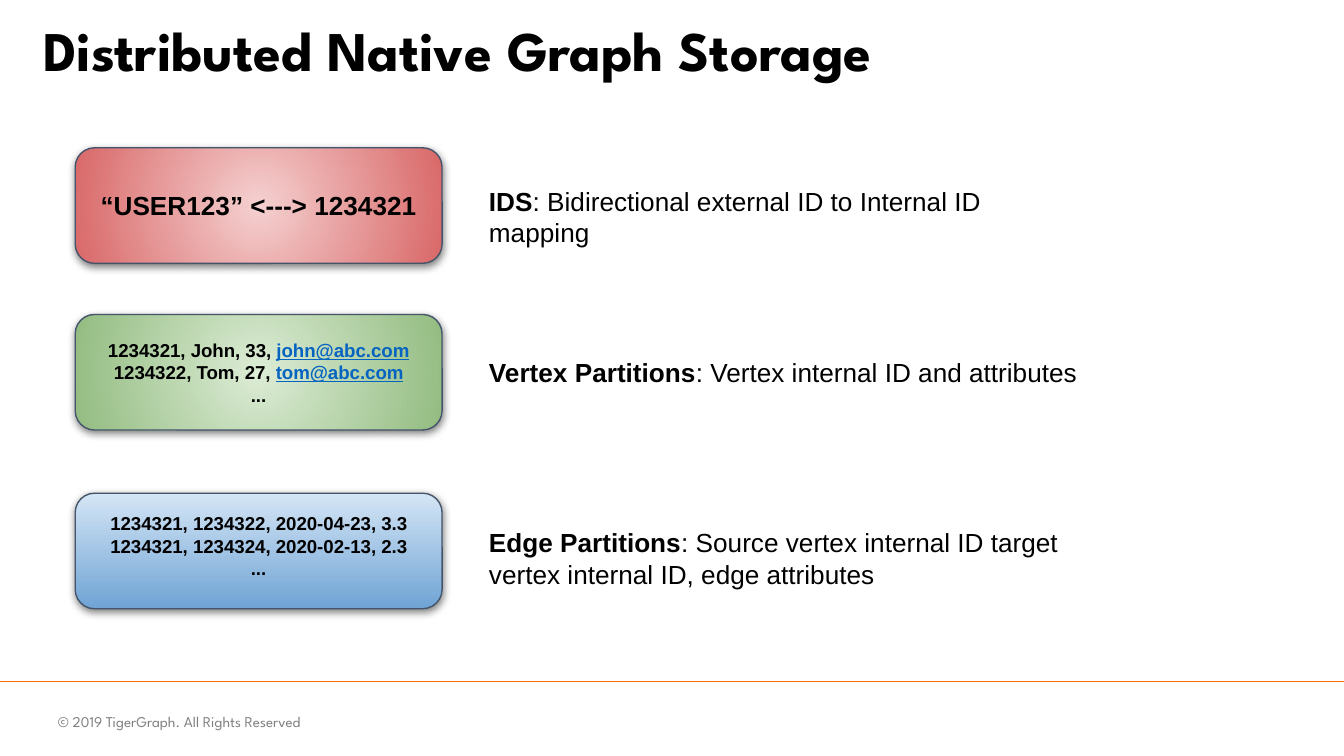
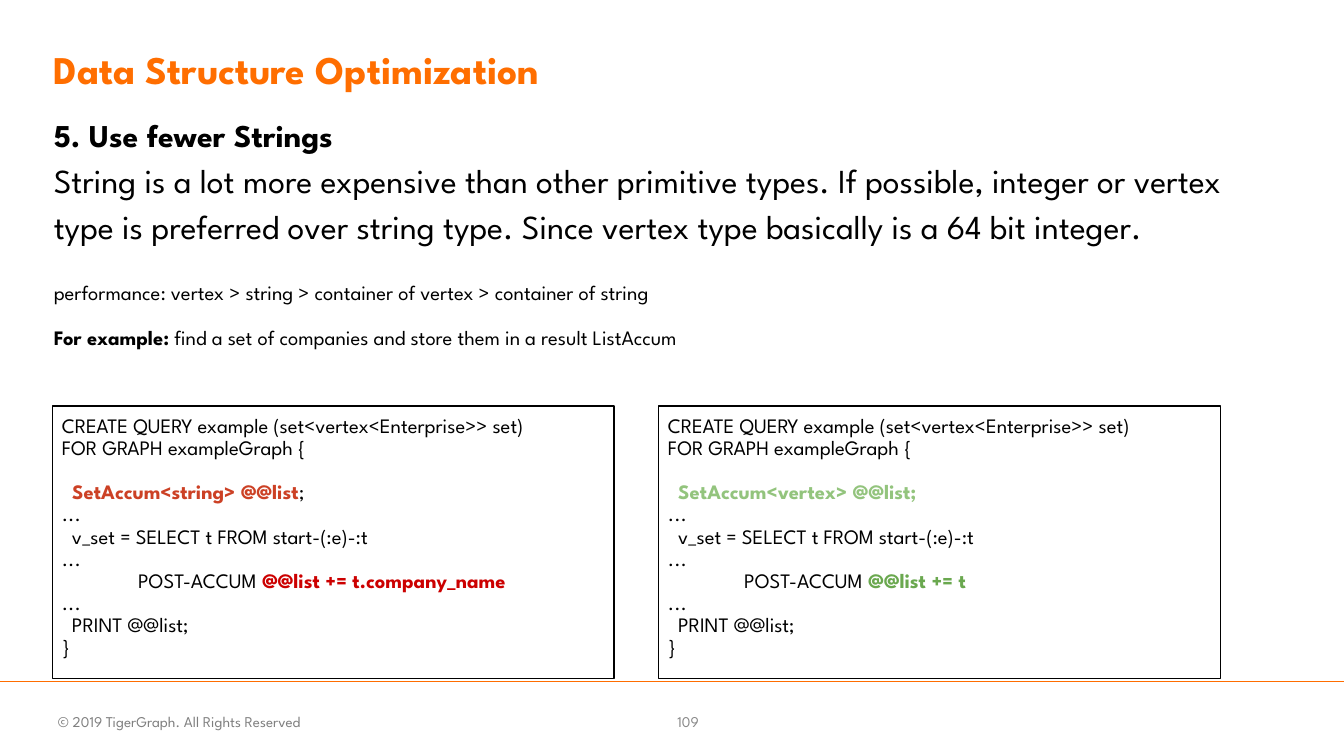
from typing import Any, NamedTuple, Optional

from lxml.etree import SubElement
from pptx import Presentation
from pptx.dml.color import RGBColor
from pptx.enum.shapes import MSO_CONNECTOR, MSO_SHAPE
from pptx.enum.text import MSO_ANCHOR, MSO_AUTO_SIZE, PP_ALIGN
from pptx.oxml.ns import qn
from pptx.util import Inches, Pt

COLORS = {
    "text": "000000",
    "title": "FF6E00",
    "rule": "FF6D00",
    "copyright": "7F7F7F",
    "page": "888888",
    "outline": "44546A",
    "address": "0563C1",
    "slow type": "CC4125",
    "slow step": "CC0000",
    "fast type": "93C47D",
    "fast step": "6AA84F",
}
SLIDE_WIDTH = Inches(10)
SLIDE_HEIGHT = SLIDE_WIDTH * 9 // 16
BRAND_FONT = "League Spartan"
PLAIN_FONT = "Arial"
FOOTER_INSETS = (0.07, 0.04)
BRAND_INSETS = (0.07, 0.07)
PLAIN_INSETS = (0.1, 0.1)


class Box(NamedTuple):
    left: float
    top: float
    width: float
    height: float

    def lengths(self) -> list:
        return [Inches(side) for side in self]


class Run(NamedTuple):
    text: str
    bold: bool = False
    color: str = "text"
    underline: bool = False


class Line(NamedTuple):
    runs: list[Run]
    size: float
    spacing: float = 1.0
    before: float = 0


class Store(NamedTuple):
    top: float
    gradient: tuple[str, str]
    radial: bool
    anchor: MSO_ANCHOR
    records: list[Line]
    note_top: float
    note_height: float
    name: str
    meaning: str


def rgb(name: str) -> RGBColor:
    return RGBColor.from_string(COLORS[name])


def apply(target: Any, values: dict[str, Any]) -> None:
    for name, value in values.items():
        setattr(target, name, value)


def write(frame: Any, lines: list[Line], font: str, insets: tuple[float, float],
          anchor: MSO_ANCHOR = MSO_ANCHOR.TOP, align: PP_ALIGN = PP_ALIGN.LEFT) -> None:
    across, down = (Inches(inset) for inset in insets)
    apply(frame, {
        "word_wrap": True, "auto_size": MSO_AUTO_SIZE.NONE, "vertical_anchor": anchor,
        "margin_left": across, "margin_right": across,
        "margin_top": down, "margin_bottom": down,
    })
    for index, line in enumerate(lines):
        paragraph = frame.add_paragraph() if index else frame.paragraphs[0]
        apply(paragraph, {
            "alignment": align, "line_spacing": line.spacing,
            "space_before": Pt(line.before), "space_after": Pt(0),
        })
        for part in line.runs:
            run = paragraph.add_run()
            run.text = part.text
            apply(run.font, {"name": font, "size": Pt(line.size),
                             "bold": part.bold, "underline": part.underline})
            run.font.color.rgb = rgb(part.color)


def place(placeholder: Any, box: Box) -> None:
    apply(placeholder, dict(zip(("left", "top", "width", "height"), box.lengths())))


def add_text(slide: Any, box: Box, lines: list[Line], font: str,
             insets: tuple[float, float], **layout: Any) -> None:
    write(slide.shapes.add_textbox(*box.lengths()).text_frame, lines, font, insets, **layout)


def add_page(deck: Any, layout: int, title: str, box: Box, size: float, color: str,
             number: Optional[str] = None) -> Any:
    """Add a slide with its title, the footer rule and the copyright line."""
    slide = deck.slides.add_slide(deck.slide_layouts[layout])
    place(slide.shapes.title, box)
    write(slide.shapes.title.text_frame, [Line([Run(title, True, color)], size, 0.9)],
          BRAND_FONT, BRAND_INSETS, MSO_ANCHOR.MIDDLE)
    rule = slide.shapes.add_connector(MSO_CONNECTOR.STRAIGHT, Inches(0), Inches(5.07),
                                      SLIDE_WIDTH, Inches(5.07))
    rule.line.color.rgb = rgb("rule")
    rule.line.width = Pt(0.75)
    SubElement(rule.element.spPr, qn("a:effectLst"))
    notice = Run("© 2019 TigerGraph. All Rights Reserved", color="copyright")
    add_text(slide, Box(0.36, 5.26, 2.09, 0.2), [Line([notice], 8)], BRAND_FONT, FOOTER_INSETS)
    if number:
        add_text(slide, Box(4.9, 5.22, 0.44, 0.3), [Line([Run(number, color="page")], 8)],
                 BRAND_FONT, FOOTER_INSETS, anchor=MSO_ANCHOR.MIDDLE, align=PP_ALIGN.CENTER)
    return slide


def add_outlined(slide: Any, kind: MSO_SHAPE, box: Box, color: str) -> Any:
    shape = slide.shapes.add_shape(kind, *box.lengths())
    shape.shadow.inherit = False
    shape.fill.background()
    shape.line.color.rgb = rgb(color)
    shape.line.width = Pt(0.75)
    return shape


def fill_gradient(shape: Any, colors: tuple[str, str], radial: bool) -> None:
    shape.fill.gradient()
    shape.fill.gradient_angle = 270
    for position, (stop, color) in enumerate(zip(shape.fill.gradient_stops, colors)):
        stop.position = position
        stop.color.rgb = RGBColor.from_string(color)
    if radial:
        gradient = shape.element.spPr.find(qn("a:gradFill"))
        gradient.remove(gradient.find(qn("a:lin")))
        circle = SubElement(gradient, qn("a:path"), {"path": "circle"})
        SubElement(circle, qn("a:fillToRect"), dict.fromkeys("ltrb", "50000"))


def add_drop_shadow(shape: Any) -> None:
    effects = shape.element.spPr.find(qn("a:effectLst"))
    shadow = SubElement(effects, qn("a:outerShdw"), {
        "blurRad": str(Pt(4.5)), "dist": str(Pt(1.5)), "dir": "5400000",
        "algn": "bl", "rotWithShape": "0"})
    black = SubElement(shadow, qn("a:srgbClr"), {"val": COLORS["text"]})
    SubElement(black, qn("a:alpha"), {"val": "50000"})


def add_store(slide: Any, store: Store) -> None:
    """Draw a card of sample records with its explanation on the right."""
    card = add_outlined(slide, MSO_SHAPE.ROUNDED_RECTANGLE,
                        Box(0.56, store.top, 2.73, 0.86), "outline")
    fill_gradient(card, store.gradient, store.radial)
    add_drop_shadow(card)
    write(card.text_frame, store.records, PLAIN_FONT, PLAIN_INSETS,
          store.anchor, PP_ALIGN.CENTER)
    note = [Run(store.name, True), Run(f": {store.meaning}")]
    add_text(slide, Box(3.54, store.note_top, 4.66, store.note_height),
             [Line(note, 14)], PLAIN_FONT, PLAIN_INSETS)


def record(text: str, address: str = "", size: float = 10) -> Line:
    runs = [Run(text, True)]
    if address:
        runs.append(Run(address, True, "address", True))
    return Line(runs, size)


def query(declaration: list[Run], step: Run) -> list[Line]:
    rows = [
        [Run("CREATE QUERY example (set<vertex<Enterprise>> set)")],
        [Run("FOR GRAPH exampleGraph {")],
        [Run("  "), *declaration],
        [Run("...")],
        [Run("  v_set = SELECT t FROM start-(:e)-:t")],
        [Run("...")],
        [Run("               POST-ACCUM "), step],
        [Run("...")],
        [Run("  PRINT @@list;")],
        [Run("}")],
    ]
    return [Line(row, 11, 0.9, 12 if index == 2 else 0) for index, row in enumerate(rows)]


STORES = [
    Store(1.1, ("F5D0D0", "D96868"), True, MSO_ANCHOR.MIDDLE,
          [record("“USER123” <---> 1234321", size=14)],
          1.28, 0.44, "IDS", "Bidirectional external ID to Internal ID mapping"),
    Store(2.34, ("DCECD5", "93BC81"), True, MSO_ANCHOR.MIDDLE,
          [record("1234321, John, 33, ", "john@abc.com"),
           record("1234322, Tom, 27, ", "tom@abc.com"), record("...")],
          2.55, 0.44, "Vertex Partitions", "Vertex internal ID and attributes"),
    Store(3.67, ("D4E5F5", "70A4D5"), False, MSO_ANCHOR.TOP,
          [record("1234321, 1234322, 2020-04-23, 3.3"),
           record("1234321, 1234324, 2020-02-13, 2.3"), record("...")],
          3.82, 0.65, "Edge Partitions",
          "Source vertex internal ID target vertex internal ID, edge attributes"),
]
ADVICE = [
    Line([Run("5. Use fewer Strings", True)], 17, 1.15),
    Line([Run("String is a lot more expensive than other primitive types. If possible, "
              "integer or vertex type is preferred over string type. Since vertex type "
              "basically is a 64 bit integer.")], 18, 1.15),
    Line([Run("performance: vertex > string > container of vertex > container of string")],
         11, 0.9, 19.5),
    Line([Run("For example:", True),
          Run(" find a set of companies and store them in a result ListAccum")], 11, 0.9, 12),
]
QUERIES = [
    query([Run("SetAccum<string> @@list", True, "slow type"), Run(";")],
          Run("@@list += t.company_name", True, "slow step")),
    query([Run("SetAccum<vertex> @@list;", True, "fast type")],
          Run("@@list += t", True, "fast step")),
]


def build_storage(deck: Any) -> None:
    slide = add_page(deck, 5, "Distributed Native Graph Storage",
                     Box(0.25, 0.07, 6.88, 0.65), 30, "text")
    for store in STORES:
        add_store(slide, store)


def build_optimization(deck: Any) -> None:
    slide = add_page(deck, 1, "Data Structure Optimization",
                     Box(0.33, 0.1, 9.17, 0.87), 21, "title", "109")
    advice = slide.placeholders[1]
    place(advice, Box(0.33, 0.75, 9.17, 4.11))
    write(advice.text_frame, ADVICE, BRAND_FONT, BRAND_INSETS)
    for paragraph in advice.text_frame.paragraphs:
        properties = paragraph._p.get_or_add_pPr()
        properties.set("marL", "0")
        properties.set("indent", "0")
        SubElement(properties, qn("a:buNone"))
    for column, code in enumerate(QUERIES):
        panel = add_outlined(slide, MSO_SHAPE.RECTANGLE,
                             Box(0.39 + 4.51 * column, 3.02, 4.18, 2.03), "text")
        write(panel.text_frame, code, BRAND_FONT, BRAND_INSETS)


def main() -> None:
    deck = Presentation()
    deck.slide_width, deck.slide_height = SLIDE_WIDTH, SLIDE_HEIGHT
    build_storage(deck)
    build_optimization(deck)
    deck.save("out.pptx")


if __name__ == "__main__":
    main()
